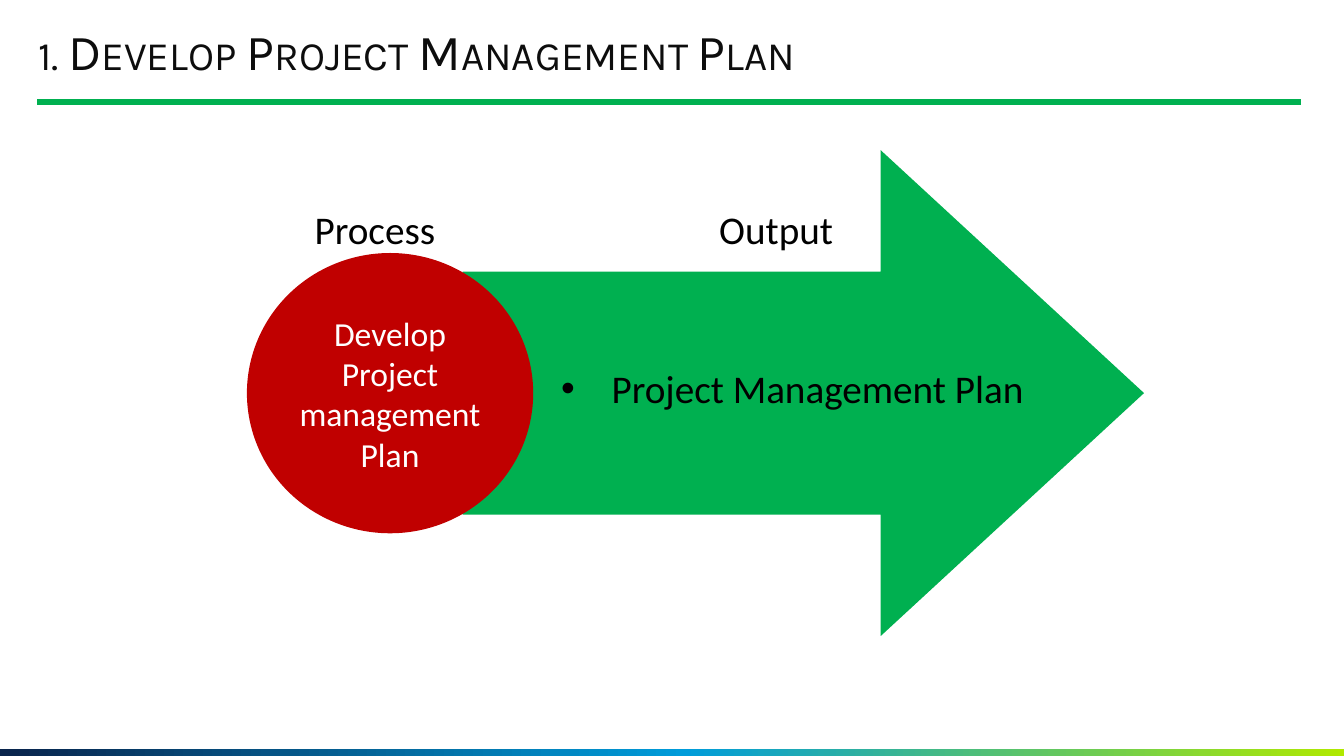
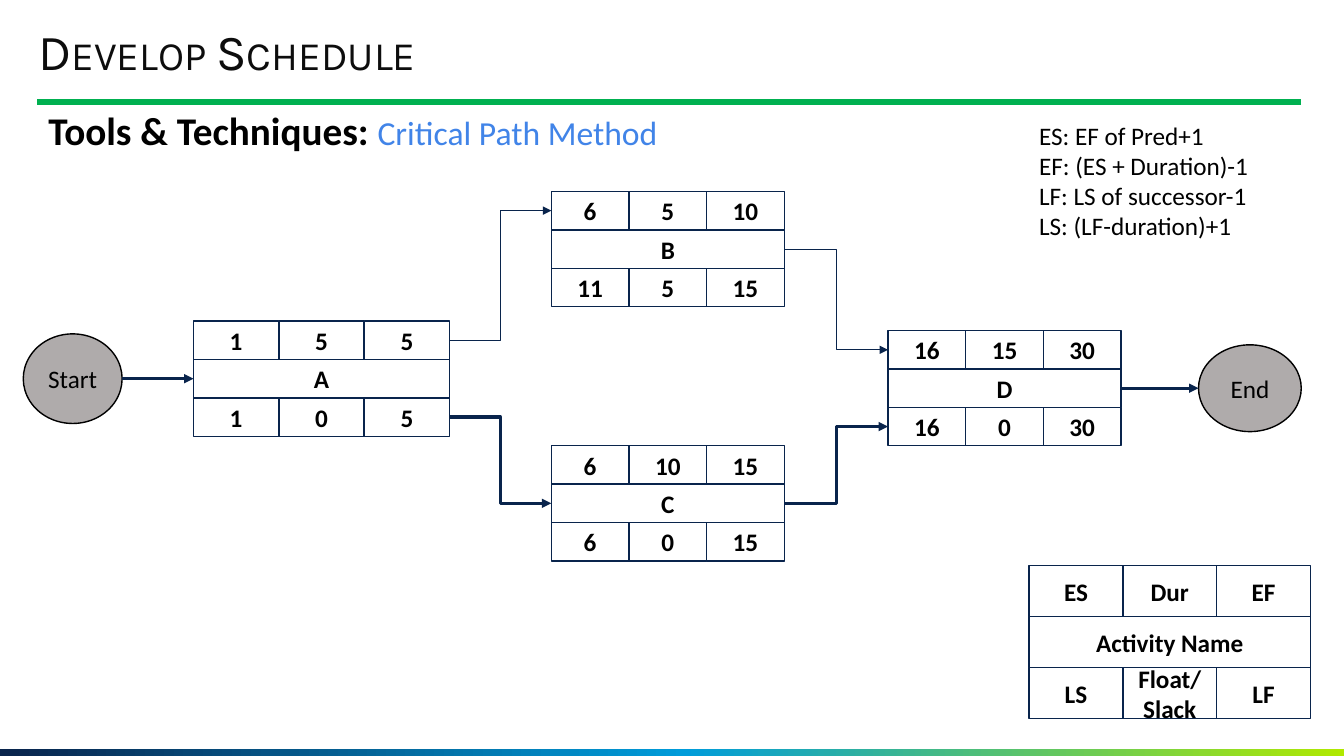
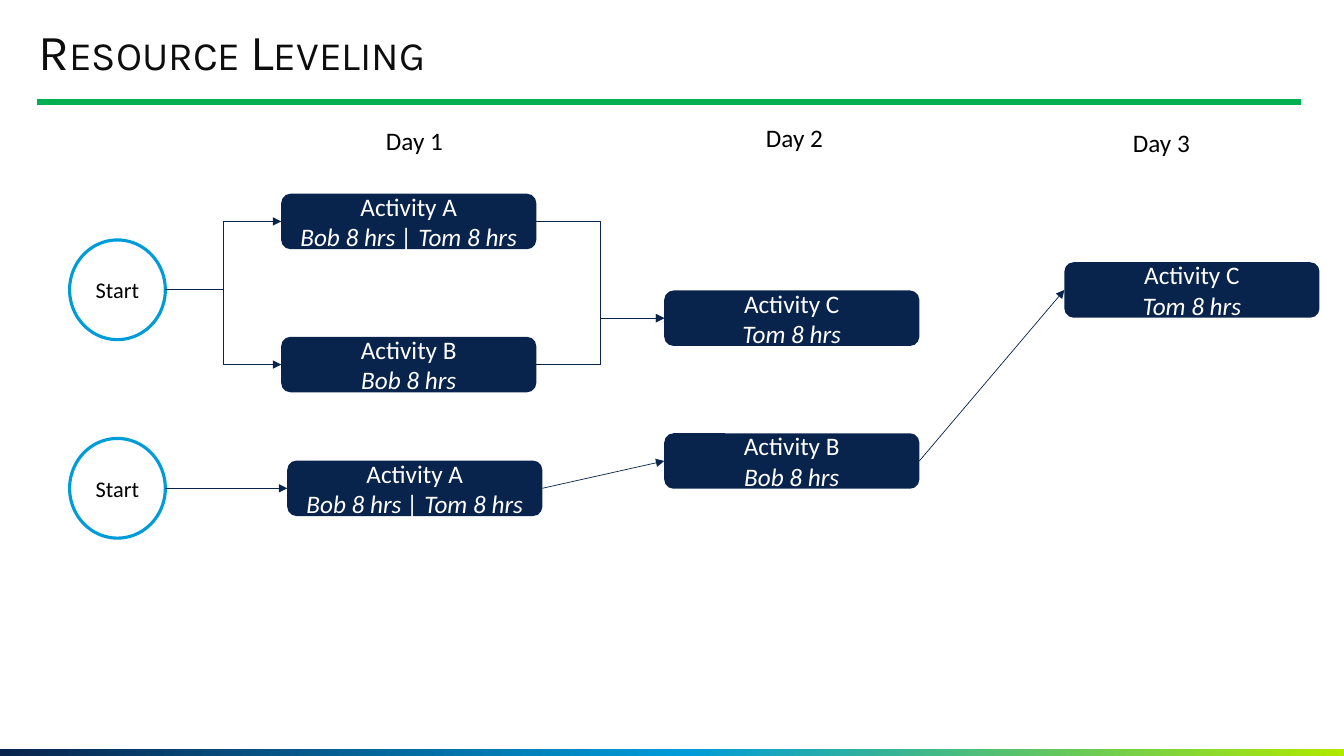
"""Build three project management slides: plan, critical path and resource leveling."""
from copy import deepcopy

from pptx import Presentation
from pptx.dml.color import RGBColor
from pptx.enum.shapes import MSO_CONNECTOR, MSO_SHAPE
from pptx.enum.text import MSO_ANCHOR, PP_ALIGN
from pptx.oxml.ns import qn
from pptx.util import Pt

NAVY = RGBColor(0x09, 0x24, 0x4C)
SKY = RGBColor(0x00, 0x9C, 0xDA)
LIME = RGBColor(0xB0, 0xE9, 0x00)
GREEN = RGBColor(0x00, 0xB0, 0x50)
RED = RGBColor(0xC0, 0x00, 0x00)
GRAY = RGBColor(0xAF, 0xAB, 0xAB)
BLUE = RGBColor(0x41, 0x84, 0xE8)
INK = RGBColor(0x0D, 0x0D, 0x0D)
BLACK = RGBColor(0, 0, 0)
WHITE = RGBColor(0xFF, 0xFF, 0xFF)

BODY_FONT, TITLE_FONT = "Calibri", "Karla"
BAND_STOPS = [(0, NAVY), (0.51, SKY), (1, LIME)]
THIN, CRITICAL = 0.5, 2.25

PLAN_LABELS = [("Process", 205.9), ("Output", 492.5)]

FORMULAS = ["ES: EF of Pred+1", "EF: (ES + Duration)-1",
            "LF: LS of successor-1", "LS: (LF-duration)+1"]
ACTIVITIES = {
    "B": (393.8, 136.8, 55.5, 27.4, ("6", "5", "10"), ("11", "5", "15")),
    "C": (393.8, 318.4, 55.5, 27.4, ("6", "10", "15"), ("6", "0", "15")),
    "A": (138.2, 229.4, 61, 27.4, ("1", "5", "5"), ("1", "0", "5")),
    "D": (634.3, 236.2, 55.5, 27.4, ("16", "15", "30"), ("16", "0", "30")),
    "Activity Name": (735.1, 403.9, 67, 36.5,
                      ("ES", "Dur", "EF"), ("LS", "Float/Slack", "LF")),
}
TERMINALS = {"Start": (16.6, 238.5, 70.6, 64), "End": (856.1, 246.3, 73.4, 62)}
PATHS = [
    ("Start", ("A", "name"), CRITICAL),
    (("A", "top", 2), ("B", "top", 0), THIN),
    (("A", "bottom", 2), ("C", "name"), CRITICAL),
    (("B", "name"), ("D", "top", 0), THIN),
    (("C", "name"), ("D", "bottom", 0), CRITICAL),
    (("D", "name"), "End", CRITICAL),
]

DAYS = [("Day 1", 268.6, 85.7), ("Day 2", 540, 84.2), ("Day 3", 802.1, 87.1)]
STARTS = {"start 1": 171.4, "start 2": 313.2}
BOTH, BOB, TOM = "Bob 8 hrs | Tom 8 hrs", "Bob 8 hrs", "Tom 8 hrs"
TASKS = {
    "A1": ("Activity A", BOTH, 200.9, 138.4),
    "B1": ("Activity B", BOB, 200.9, 240.6),
    "C1": ("Activity C", TOM, 474.5, 207.5),
    "A2": ("Activity A", BOTH, 205.2, 329),
    "B2": ("Activity B", BOB, 474.5, 309.5),
    "C2": ("Activity C", TOM, 760.3, 187.3),
}
BRANCHES = [("start 1", "A1"), ("start 1", "B1"), ("A1", "C1"), ("B1", "C1")]
SEQUENCE = [("start 2", "A2"), ("A2", "B2"), ("B2", "C2")]


def write(shape, paragraphs, size, color=BLACK, align=PP_ALIGN.CENTER,
          anchor=MSO_ANCHOR.MIDDLE, font=BODY_FONT, bold=False):
    """Write paragraphs, each a list of (text, font overrides) runs."""
    frame = shape.text_frame
    frame.word_wrap = True
    frame.vertical_anchor = anchor
    for index, runs in enumerate(paragraphs):
        paragraph = frame.add_paragraph() if index else frame.paragraphs[0]
        paragraph.alignment = align
        for text, overrides in runs:
            run = paragraph.add_run()
            run.text = text
            style = {"size": size, "color": color, "bold": bold, "italic": False, **overrides}
            run.font.name = font
            run.font.size = Pt(style["size"])
            run.font.color.rgb = style["color"]
            run.font.bold = style["bold"]
            run.font.italic = style["italic"]
    return frame


def add_label(slide, box, paragraphs, size, **style):
    """Add a text box, left and top aligned unless told otherwise."""
    label = slide.shapes.add_textbox(*map(Pt, box))
    return write(label, paragraphs, size,
                 **{"align": PP_ALIGN.LEFT, "anchor": MSO_ANCHOR.TOP, **style})


def add_box(slide, kind, box, fill=None, line=None, weight=1):
    """Add a flat preset shape."""
    shape = slide.shapes.add_shape(kind, *map(Pt, box))
    shape.shadow.inherit = False
    if fill is None:
        shape.fill.background()
    else:
        shape.fill.solid()
        shape.fill.fore_color.rgb = fill
    if line is None:
        shape.line.fill.background()
    else:
        shape.line.color.rgb = line
        shape.line.width = Pt(weight)
    return shape


def add_line(slide, start, end, color, weight, kind=MSO_CONNECTOR.STRAIGHT):
    """Add a connector without shadow."""
    line = slide.shapes.add_connector(kind, *start, *end)
    line.line.color.rgb = color
    line.line.width = Pt(weight)
    properties = line._element.spPr
    properties.append(properties.makeelement(qn("a:effectLst"), {}))
    return line


def link(slide, source, target, weight=THIN, kind=MSO_CONNECTOR.STRAIGHT):
    """Draw an arrow from the right side of source to the left side of target."""
    start = source.left + source.width, source.top + source.height // 2
    end = target.left, target.top + target.height // 2
    arrow = add_line(slide, start, end, NAVY, weight, kind)
    outline = arrow.line._get_or_add_ln()
    outline.append(outline.makeelement(qn("a:tailEnd"), {"type": "triangle"}))


def new_slide(deck, title):
    """Add a slide with the gradient band, green rule and small-caps title."""
    slide = deck.slides.add_slide(deck.slide_layouts[6])
    band = add_box(slide, MSO_SHAPE.RECTANGLE, (0, 535, 960, 5))
    band.fill.gradient()
    band.fill.gradient_angle = 0
    stop_list = band._element.spPr.find(".//" + qn("a:gsLst"))
    stop_list.append(deepcopy(stop_list[0]))
    for stop, (position, color) in zip(band.fill.gradient_stops, BAND_STOPS):
        stop.position = position
        stop.color.rgb = color
    add_line(slide, (Pt(26.6), Pt(72.7)), (Pt(929.5), Pt(72.7)), GREEN, 4.5)
    frame = add_label(slide, (27.4, 19.4, 805.7, 39.6), [[(title, {})]], 36,
                      color=INK, font=TITLE_FONT)
    frame.margin_left = frame.margin_right = frame.margin_top = frame.margin_bottom = 0
    heading = frame.paragraphs[0]
    heading.line_spacing = 0.9
    heading.runs[0]._r.get_or_add_rPr().set("cap", "small")
    return slide


def build_plan(deck):
    """Show the process circle and its output arrow."""
    slide = new_slide(deck, "1. Develop Project Management Plan")
    arrow = add_box(slide, MSO_SHAPE.RIGHT_ARROW, (330.5, 107.3, 486.7, 347), GREEN)
    arrow.adjustments[0], arrow.adjustments[1] = 0.5, 0.542
    process = add_box(slide, MSO_SHAPE.OVAL, (176.4, 180.7, 204.5, 200.2), RED)
    write(process, [[("Develop Project management Plan", {})]], 24, WHITE)
    for text, left in PLAN_LABELS:
        add_label(slide, (left, 143.3, 123.8, 41), [[(text, {})]], 28,
                  align=PP_ALIGN.CENTER)
    output = add_label(slide, (393.8, 257, 357.1, 41),
                       [[("Project Management Plan", {})]], 28)
    properties = output.paragraphs[0]._p.get_or_add_pPr()
    properties.set("marL", str(Pt(36)))
    properties.set("indent", str(Pt(-36)))
    for tag, attributes in (("a:buFont", {"typeface": "Arial"}), ("a:buChar", {"char": "•"})):
        properties.append(properties.makeelement(qn(tag), attributes))


def add_activity(slide, name, left, top, width, height, upper, lower):
    """Draw one activity node and return its cells by position."""
    places = {(name, "name"): (name, left, top + height, 3 * width)}
    for row, offset, values in (("top", 0, upper), ("bottom", 2, lower)):
        for column, value in enumerate(values):
            places[name, row, column] = (value, left + column * width,
                                         top + offset * height, width)
    cells = {}
    for key, (text, x, y, w) in places.items():
        cells[key] = add_box(slide, MSO_SHAPE.RECTANGLE, (x, y, w, height), line=NAVY)
        write(cells[key], [[(text, {})]], 18, bold=True)
    return cells


def build_schedule(deck):
    """Show the critical path network with its formulas and legend."""
    slide = new_slide(deck, "Develop Schedule")
    method = add_label(slide, (27.4, 76.3, 902.2, 39.6), [[
        ("Tools & Techniques: ", {"bold": True}),
        ("Critical Path Method", {"size": 24, "color": BLUE})]], 28)
    method.paragraphs[0].line_spacing = 0.9
    nodes = {}
    for name, layout in ACTIVITIES.items():
        nodes.update(add_activity(slide, name, *layout))
    for name, box in TERMINALS.items():
        nodes[name] = add_box(slide, MSO_SHAPE.OVAL, box, GRAY, BLACK)
        write(nodes[name], [[(name, {})]], 18)
    for source, target, weight in PATHS:
        straight = source in TERMINALS or target in TERMINALS
        link(slide, nodes[source], nodes[target], weight,
             MSO_CONNECTOR.STRAIGHT if straight else MSO_CONNECTOR.ELBOW)
    add_label(slide, (735.1, 82.1, 200.9, 116.6), [[(line, {})] for line in FORMULAS], 18)


def build_leveling(deck):
    """Show the work before and after leveling across three days."""
    slide = new_slide(deck, "Resource Leveling")
    for day, left, top in DAYS:
        add_label(slide, (left, top, 157.7, 28.8), [[(day, {})]], 18)
    nodes = {}
    for key, top in STARTS.items():
        nodes[key] = add_box(slide, MSO_SHAPE.OVAL, (49.7, top, 68.4, 71.2), WHITE, SKY, 2.25)
        write(nodes[key], [[("Start", {})]], 16)
    for key, (activity, people, left, top) in TASKS.items():
        nodes[key] = add_box(slide, MSO_SHAPE.ROUNDED_RECTANGLE, (left, top, 182.2, 39.6), NAVY)
        write(nodes[key], [[(activity, {})], [(people, {"italic": True})]], 18, WHITE)
    for source, target in BRANCHES:
        link(slide, nodes[source], nodes[target], kind=MSO_CONNECTOR.ELBOW)
    for source, target in SEQUENCE:
        link(slide, nodes[source], nodes[target])


def main():
    """Build and save the deck."""
    deck = Presentation()
    deck.slide_width, deck.slide_height = Pt(960), Pt(540)
    build_plan(deck)
    build_schedule(deck)
    build_leveling(deck)
    deck.save("out.pptx")


if __name__ == "__main__":
    main()
